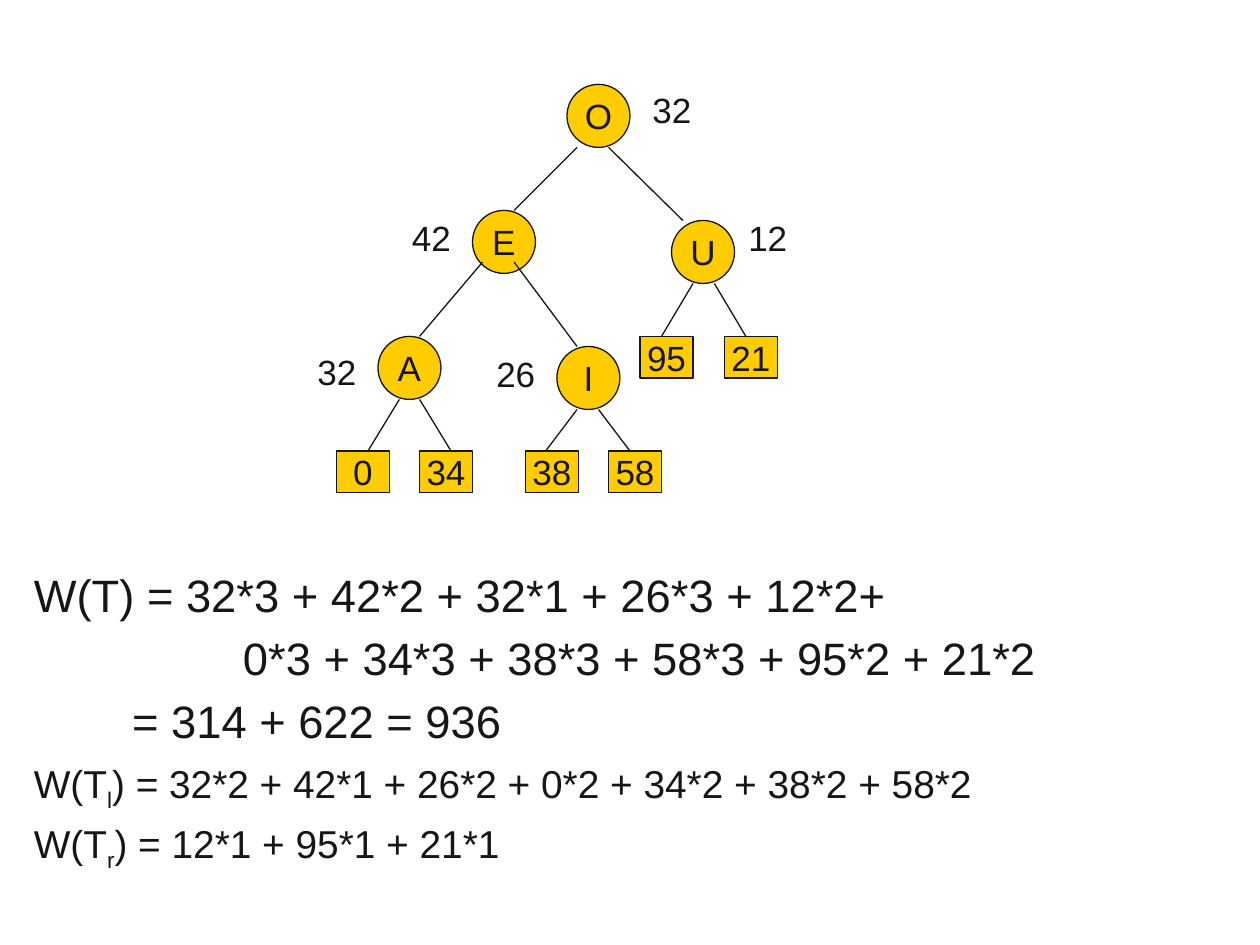
import pptx
import pptx.util
import pptx.dml.color
import pptx.enum.shapes
import pptx.enum.text
import pptx.oxml.ns
import lxml.etree

Inches = pptx.util.Inches
Pt = pptx.util.Pt
COLORS = {"ink": "161616", "node": "FFCC00"}
FONT = "Arial"
NODE_SIZE = (0.5, 0.5)
LEAF_SIZE = (0.42, 0.33)

NODES = [("O", 4.5, 0.67), ("A", 3, 2.67), ("U", 5.33, 1.75),
         ("I", 4.42, 2.75), ("E", 3.75, 1.67)]
LEAVES = [("0", 2.67, 3.58), ("34", 3.33, 3.58), ("21", 5.75, 2.67),
          ("95", 5.08, 2.67), ("38", 4.17, 3.58), ("58", 4.83, 3.58)]
EDGES = [(4.58, 1.17, 4.08, 1.67), (4.83, 1.17, 5.42, 1.75),
         (3.83, 2.08, 3.33, 2.67), (4.08, 2.08, 4.58, 2.75),
         (5.5, 2.25, 5.25, 2.67), (5.67, 2.25, 5.92, 2.67),
         (3.17, 3.17, 2.92, 3.58), (3.33, 3.17, 3.58, 3.58),
         (4.58, 3.25, 4.33, 3.58), (4.75, 3.25, 5, 3.58)]
WEIGHTS = [("32", 5.08, 0.65), ("32", 2.42, 2.73), ("42", 3.17, 1.67),
           ("12", 5.84, 1.67), ("26", 3.84, 2.75)]
FORMULAS = [
    (25.9, 8, 0, ["W(T) = 32*3 + 42*2 + 32*1 + 26*3 + 12*2+"]),
    (25.9, 8, 1.66, ["0*3 + 34*3 + 38*3 + 58*3 + 95*2 + 21*2"]),
    (25.9, 8, 0.78, ["= 314 + 622 = 936"]),
    (22.2, 7, 0, ["W(T", "l", ") = 32*2 + 42*1 + 26*2 + 0*2 + 34*2 + 38*2 + 58*2"]),
    (22.2, 7, 0, ["W(T", "r", ") = 12*1 + 95*1 + 21*1"]),
]


def color(name):
    return pptx.dml.color.RGBColor.from_string(COLORS[name])


def add_run(paragraph, text, size):
    run = paragraph.add_run()
    run.text = text
    run.font.name = FONT
    run.font.size = Pt(size)
    run.font.color.rgb = color("ink")
    return run


def style_line(line):
    line.color.rgb = color("ink")
    line.width = Pt(0.75)


def add_node(slide, kind, size, label, left, top):
    width, height = size
    shape = slide.shapes.add_shape(
        kind, Inches(left), Inches(top), Inches(width), Inches(height))
    shape.shadow.inherit = False
    shape.fill.solid()
    shape.fill.fore_color.rgb = color("node")
    style_line(shape.line)
    frame = shape.text_frame
    frame.word_wrap = False
    frame.vertical_anchor = pptx.enum.text.MSO_ANCHOR.MIDDLE
    paragraph = frame.paragraphs[0]
    paragraph.alignment = pptx.enum.text.PP_ALIGN.CENTER
    add_run(paragraph, label, 20)


def add_edge(slide, *ends):
    connector = slide.shapes.add_connector(
        pptx.enum.shapes.MSO_CONNECTOR.STRAIGHT, *map(Inches, ends))
    style_line(connector.line)
    lxml.etree.SubElement(
        connector._element.spPr, pptx.oxml.ns.qn("a:effectLst"))


def add_weight(slide, text, left, top):
    box = slide.shapes.add_textbox(
        Inches(left), Inches(top), Inches(0.51), Inches(0.44))
    box.text_frame.word_wrap = False
    box.text_frame.auto_size = pptx.enum.text.MSO_AUTO_SIZE.SHAPE_TO_FIT_TEXT
    add_run(box.text_frame.paragraphs[0], text, 20)


def add_formulas(slide):
    box = slide.shapes.add_textbox(
        Inches(0.17), Inches(4.5), Inches(9.67), Inches(2.67))
    frame = box.text_frame
    frame.word_wrap = True
    for index, (size, space, indent, parts) in enumerate(FORMULAS):
        paragraph = frame.add_paragraph() if index else frame.paragraphs[0]
        paragraph.line_spacing = 0.9
        paragraph.space_before = Pt(space)
        paragraph._p.get_or_add_pPr().set("marL", str(Inches(indent)))
        for position, text in enumerate(parts):
            run = add_run(paragraph, text, size)
            if position == 1:
                run.font._element.set("baseline", "-25000")


def main():
    presentation = pptx.Presentation()
    presentation.slide_width = Inches(10)
    presentation.slide_height = Inches(7.5)
    slide = presentation.slides.add_slide(presentation.slide_layouts[6])
    add_formulas(slide)
    for node in NODES:
        add_node(slide, pptx.enum.shapes.MSO_SHAPE.OVAL, NODE_SIZE, *node)
    for leaf in LEAVES:
        add_node(slide, pptx.enum.shapes.MSO_SHAPE.RECTANGLE, LEAF_SIZE, *leaf)
    for edge in EDGES:
        add_edge(slide, *edge)
    for weight in WEIGHTS:
        add_weight(slide, *weight)
    presentation.save("out.pptx")


if __name__ == "__main__":
    main()
